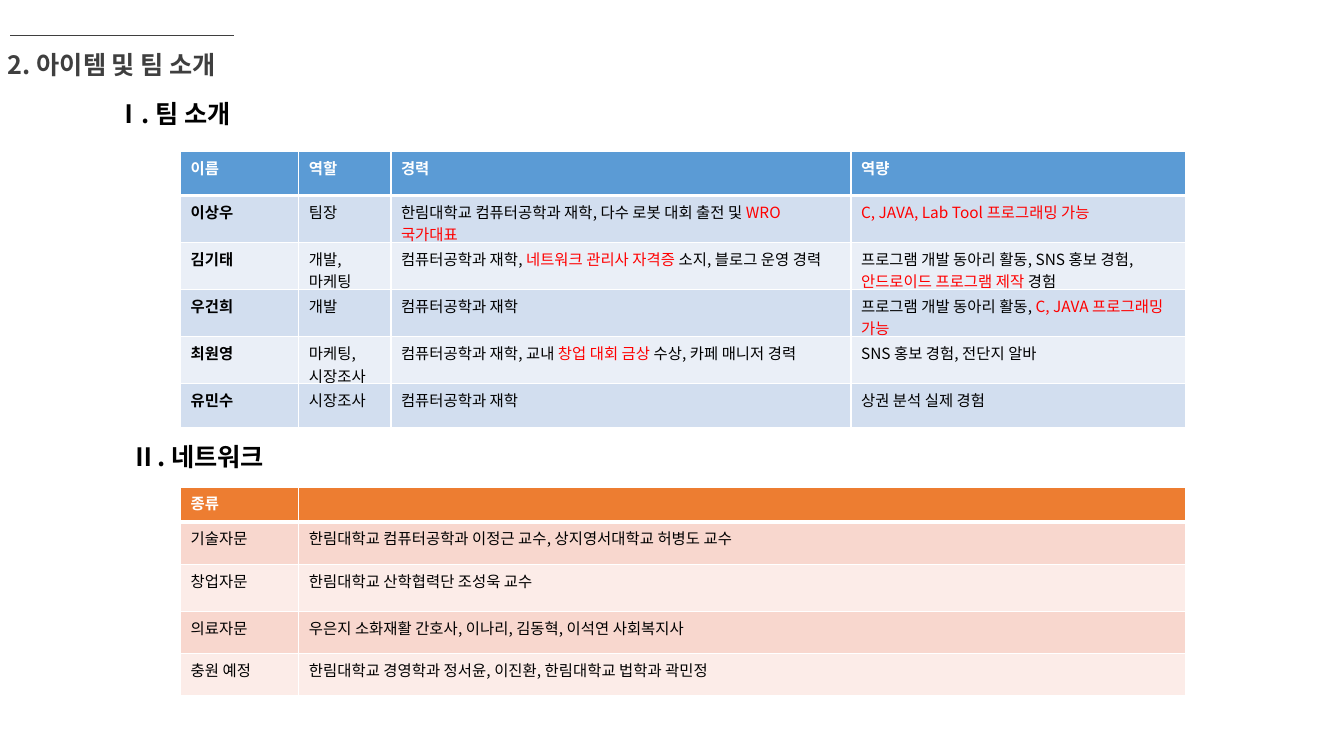
from lxml.etree import SubElement
from pptx import Presentation
from pptx.dml.color import RGBColor as RGB
from pptx.enum.shapes import MSO_CONNECTOR as CONN
from pptx.enum.text import MSO_AUTO_SIZE as AUTO
from pptx.oxml.ns import qn
from pptx.util import Pt

# Content: text between bars is highlighted
HEADINGS = [  # text, left, top, width, main title
    ("Ⅰ. 팀 소개", 76.3, 67, 105.1, False),
    ("Ⅱ. 네트워크", 87.1, 311.8, 116.6, False),
    ("2. 아이템 및 팀 소개", -1.4, 31.7, 182.9, True),
]
TEAM = [
    ("이름", "역할", "경력", "역량"),
    ("이상우", "팀장", "한림대학교 컴퓨터공학과 재학, 다수 로봇 대회 출전 및 |WRO 국가대표",
     "|C, JAVA, Lab Tool 프로그래밍 가능"),
    ("김기태", "개발, 마케팅",
     "컴퓨터공학과 재학, |네트워크 관리사 자격증 |소지, 블로그 운영 경력",
     "프로그램 개발 동아리 활동, SNS 홍보 경험, |안드로이드 프로그램 제작 |경험"),
    ("우건희", "개발", "컴퓨터공학과 재학",
     "프로그램 개발 동아리 활동, |C, JAVA 프로그래밍 가능"),
    ("최원영", "마케팅, 시장조사",
     "컴퓨터공학과 재학, 교내 |창업 대회 금상 |수상, 카페 매니저 경력",
     "SNS 홍보 경험, 전단지 알바"),
    ("유민수", "시장조사", "컴퓨터공학과 재학", "상권 분석 실제 경험"),
]
NETWORK = [
    ("종류", ""),
    ("기술자문", "한림대학교 컴퓨터공학과 이정근 교수, 상지영서대학교 허병도 교수"),
    ("창업자문", "한림대학교 산학협력단 조성욱 교수"),
    ("의료자문", "우은지 소화재활 간호사, 이나리, 김동혁, 이석연 사회복지사"),
    ("충원 예정", "한림대학교 경영학과 정서윤, 이진환, 한림대학교 법학과 곽민정"),
]

# Format
FONT = "Noto Sans CJK KR"
WHITE, BLACK = RGB(255, 255, 255), RGB(0, 0, 0)
GRAY, RED = RGB(0x3F, 0x3F, 0x3F), RGB(255, 0, 0)
BLUES = RGB(0x5B, 0x9B, 0xD5), RGB(0xD2, 0xDE, 0xEF), RGB(0xEA, 0xEF, 0xF7)
ORANGES = RGB(0xED, 0x7D, 0x31), RGB(0xF8, 0xD7, 0xCE), RGB(0xFC, 0xEC, 0xE8)
TABLE_LEFT = 129
TABLES = [  # rows, top, column widths, row heights, colours, bold names
    (TEAM, 108, (84.5, 65.8, 328.6, 239), (31.6,) * 6, BLUES, True),
    (NETWORK, 347.8, (84.5, 633.4), (25, 30.2, 33.8, 30.2, 30.2), ORANGES, False),
]


def add_run(p, text, size, color, bold):
    r = p.add_run()
    r.text = text
    for name, value in {"size": Pt(size), "bold": bold, "name": FONT}.items():
        setattr(r.font, name, value)
    r.font.color.rgb = color
    SubElement(r.font._element, qn("a:ea"), typeface=FONT)


def add_borders(cell, row):
    widths = {"L": 1, "R": 1, "T": 3 if row == 1 else 1, "B": 3 if row == 0 else 1}
    tc_pr = cell._tc.get_or_add_tcPr()
    for side, width in widths.items():
        ln = SubElement(tc_pr, qn(f"a:ln{side}"), w=str(Pt(width)))
        fill = SubElement(ln, qn("a:solidFill"))
        SubElement(fill, qn("a:srgbClr"), val=str(WHITE))


def fill_cell(cell, text, row, fill, bold):
    add_borders(cell, row)
    cell.fill.solid()
    cell.fill.fore_color.rgb = fill
    p = cell.text_frame.paragraphs[0]
    for i, part in enumerate(text.split("|")):
        if part:
            color = WHITE if row == 0 else RED if i % 2 else BLACK
            add_run(p, part, 11, color, bold)
    if not text:
        SubElement(p._p, qn("a:endParaRPr"), sz="1100")


def add_table(s, rows, top, widths, heights, colors, bold_names):
    table = s.shapes.add_table(len(rows), len(widths), Pt(TABLE_LEFT), Pt(top),
                               Pt(sum(widths)), Pt(sum(heights))).table
    for column, width in zip(table.columns, widths):
        column.width = Pt(width)
    for i, (texts, height) in enumerate(zip(rows, heights)):
        table.rows[i].height = Pt(height)
        fill = colors[0] if i == 0 else colors[2 - i % 2]
        for j, text in enumerate(texts):
            bold = i == 0 or (bold_names and j == 0)
            fill_cell(table.cell(i, j), text, i, fill, bold)


def main():
    prs = Presentation()
    prs.slide_width, prs.slide_height = Pt(960), Pt(540)
    s = prs.slides.add_slide(prs.slide_layouts[6])

    # Rule above the title
    rule = s.shapes.add_connector(CONN.STRAIGHT, Pt(7.2), Pt(25.2), Pt(167), Pt(25.2))
    rule.line.color.rgb = GRAY
    rule.line.width = Pt(1)
    SubElement(rule._element.spPr, qn("a:effectLst"))

    # Headings
    for text, left, top, width, is_title in HEADINGS:
        tf = s.shapes.add_textbox(Pt(left), Pt(top), Pt(width), Pt(29)).text_frame
        tf.word_wrap = False
        tf.auto_size = AUTO.SHAPE_TO_FIT_TEXT
        add_run(tf.paragraphs[0], text, 18, GRAY if is_title else BLACK, True)

    # Tables
    for table in TABLES:
        add_table(s, *table)

    prs.save("out.pptx")


if __name__ == "__main__":
    main()
